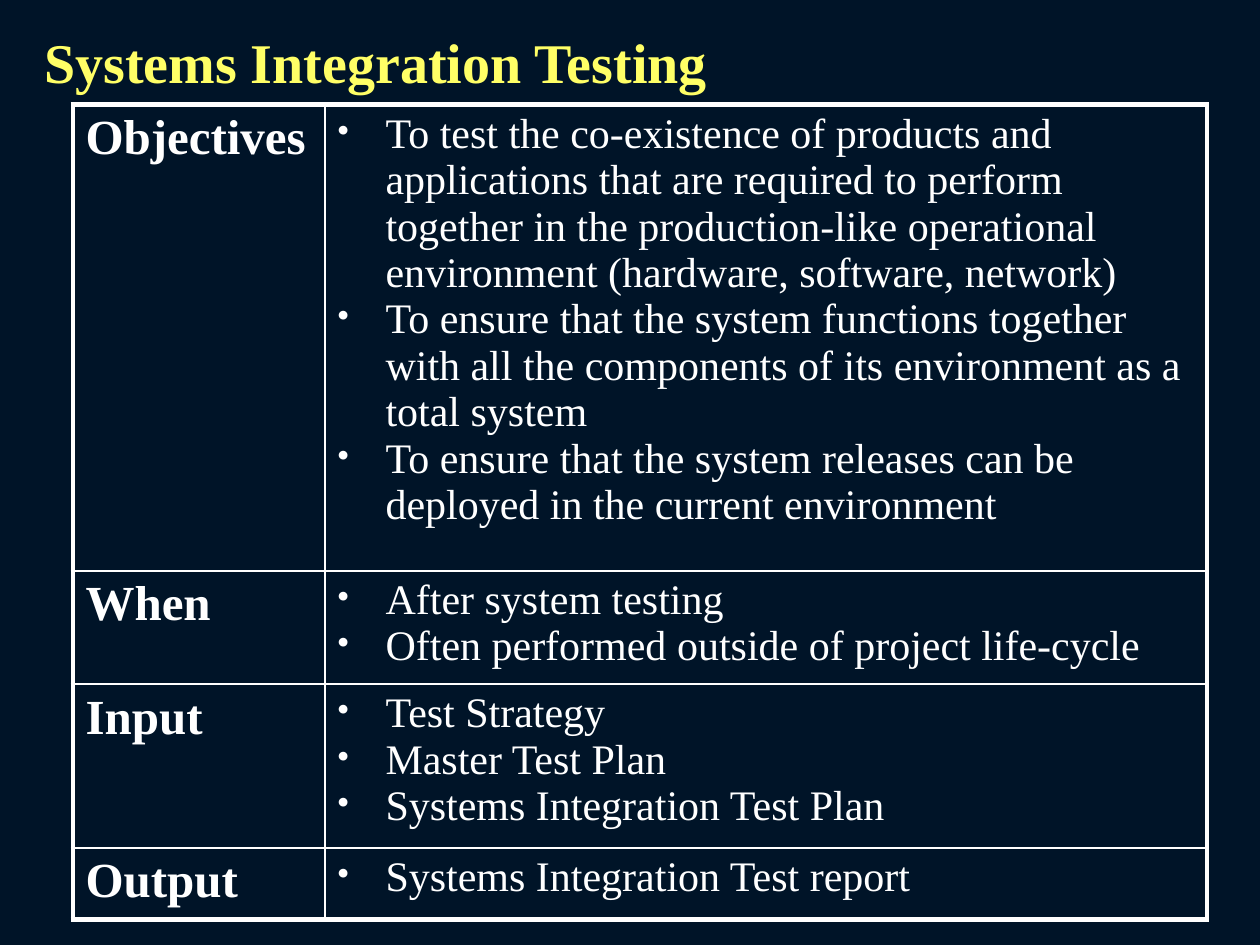
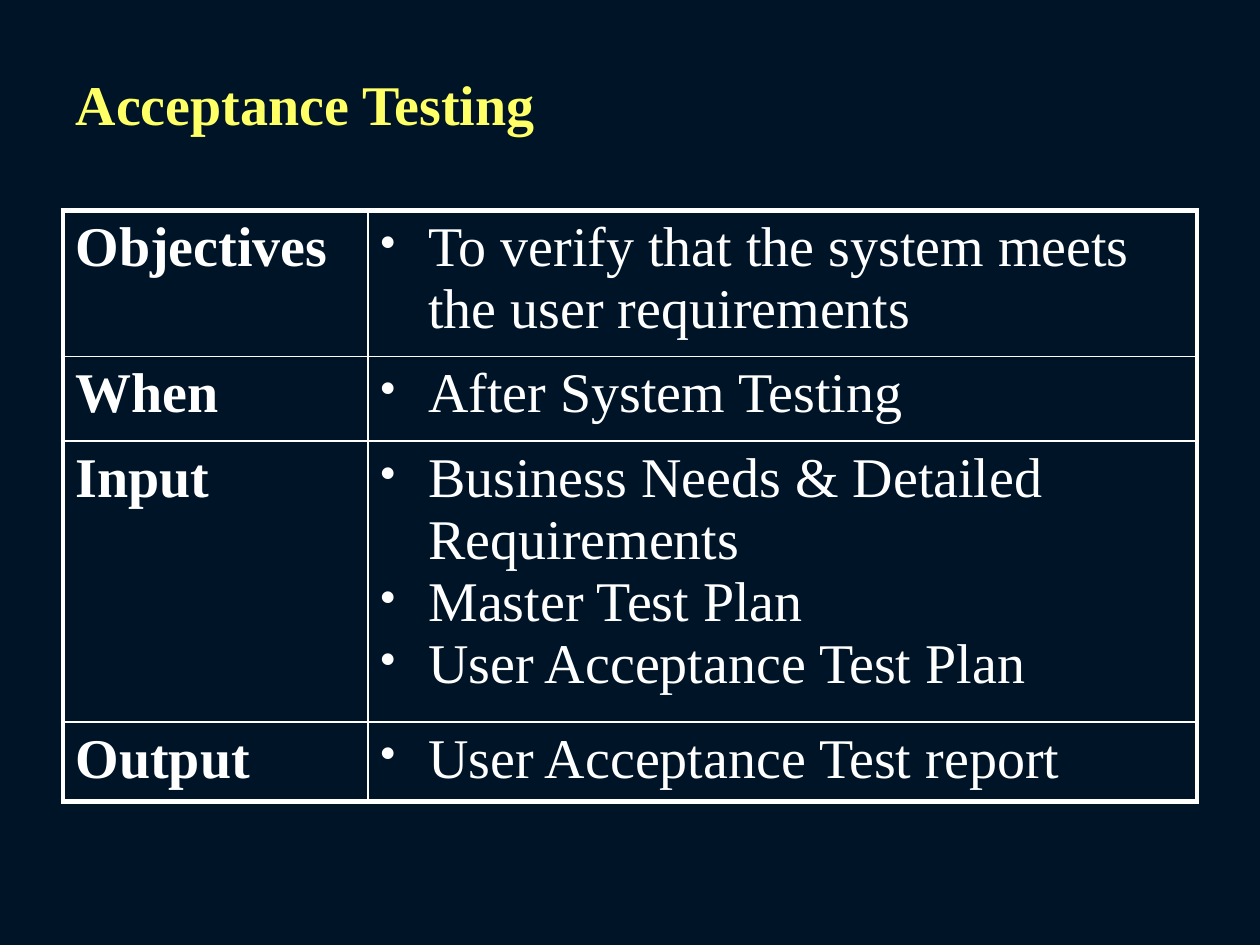
from dataclasses import dataclass

from lxml.etree import SubElement
from pptx import Presentation
from pptx.dml.color import RGBColor
from pptx.enum.text import MSO_ANCHOR, PP_ALIGN
from pptx.oxml.ns import qn
from pptx.util import Inches, Pt


@dataclass(frozen=True)
class Theme:
    font: str = "Times New Roman"
    background: str = "001428"
    title_color: str = "FFFF66"
    text_color: str = "FFFFFF"
    title_size: int = 32
    frame_width: float = 3
    rule_width: float = 1
    bullet_indent: float = 0.38
    bullet_percent: int = 80


THEME = Theme()
SLIDE_WIDTH, SLIDE_HEIGHT = Inches(10), Inches(7.5)
GRID_COLUMNS, GRID_ROWS = 10, 7.5
TITLE_ONLY = 5

PHASES = [
    {
        "title": "Systems Integration Testing",
        "title_box": (0.25, 0.17, 5.92, 0.63),
        "table_corner": (0.58, 0.83),
        "columns": (2, 7),
        "rows": (3.7, 0.9, 1.3, 0.57),
        "label_size": 28,
        "item_size": 24,
        "topics": {
            "Objectives": [
                "To test the co-existence of products and applications that are "
                "required to perform together in the production-like operational "
                "environment (hardware, software, network)",
                "To ensure that the system functions together with all the "
                "components of its environment as a total system",
                "To ensure that the system releases can be deployed in the "
                "current environment",
            ],
            "When": [
                "After system testing",
                "Often performed outside of project life-cycle",
            ],
            "Input": [
                "Test Strategy",
                "Master Test Plan",
                "Systems Integration Test Plan",
            ],
            "Output": ["Systems Integration Test report"],
        },
    },
    {
        "title": "Acceptance Testing",
        "title_box": (0.5, 0.5, 3.89, 0.63),
        "table_corner": (0.5, 1.67),
        "columns": (2.42, 6.58),
        "rows": (1.16, 0.67, 2.23, 0.63),
        "label_size": 32,
        "item_size": 32,
        "topics": {
            "Objectives": ["To verify that the system meets the user requirements"],
            "When": ["After System Testing"],
            "Input": [
                "Business Needs & Detailed Requirements",
                "Master Test Plan",
                "User Acceptance Test Plan",
            ],
            "Output": ["User Acceptance Test report"],
        },
    },
]


def across(columns):
    return round(SLIDE_WIDTH * columns / GRID_COLUMNS)


def down(rows):
    return round(SLIDE_HEIGHT * rows / GRID_ROWS)


def set_values(target, values):
    for name, value in values.items():
        setattr(target, name, value)


def write(paragraph, text, size, color, bold=False):
    run = paragraph.add_run()
    run.text = text
    set_values(run.font, {"name": THEME.font, "size": Pt(size), "bold": bold})
    run.font.color.rgb = RGBColor.from_string(color)


def add_bullet(paragraph):
    properties = paragraph._p.get_or_add_pPr()
    indent = Inches(THEME.bullet_indent)
    properties.set("marL", str(indent))
    properties.set("indent", str(-indent))
    bullet_color = SubElement(properties, qn("a:buClr"))
    SubElement(bullet_color, qn("a:srgbClr"), val=THEME.text_color)
    SubElement(properties, qn("a:buSzPct"), val=str(THEME.bullet_percent * 1000))
    SubElement(properties, qn("a:buChar"), char="•")


def set_borders(cell, outer_sides):
    """Draw a heavy line on the table's outer sides and a thin one elsewhere."""
    properties = cell._tc.get_or_add_tcPr()
    for side in "LRTB":
        width = THEME.frame_width if side in outer_sides else THEME.rule_width
        line = SubElement(properties, qn(f"a:ln{side}"), w=str(Pt(width)))
        fill = SubElement(line, qn("a:solidFill"))
        SubElement(fill, qn("a:srgbClr"), val=THEME.text_color)


def add_title(slide, text, box):
    left, top, width, height = box
    title = slide.shapes.title
    set_values(title, {"left": across(left), "top": down(top),
                       "width": across(width), "height": down(height)})
    frame = title.text_frame
    set_values(frame, {"vertical_anchor": MSO_ANCHOR.MIDDLE, "word_wrap": True})
    heading = frame.paragraphs[0]
    heading.alignment = PP_ALIGN.LEFT
    write(heading, text, THEME.title_size, THEME.title_color, bold=True)


def fill_items(cell, items, size):
    frame = cell.text_frame
    for index, item in enumerate(items):
        paragraph = frame.add_paragraph() if index else frame.paragraphs[0]
        add_bullet(paragraph)
        write(paragraph, item, size, THEME.text_color)


def add_topic_table(slide, phase):
    topics, columns, rows = phase["topics"], phase["columns"], phase["rows"]
    left, top = phase["table_corner"]
    table = slide.shapes.add_table(
        len(rows), len(columns), across(left), down(top),
        across(sum(columns)), down(sum(rows))).table
    set_values(table, {"first_row": False, "horz_banding": False})
    for column, width in zip(table.columns, columns):
        column.width = across(width)

    last_row = len(rows) - 1
    for index, (topic, items) in enumerate(topics.items()):
        table.rows[index].height = down(rows[index])
        label_cell, items_cell = table.rows[index].cells
        ends = ("T" if index == 0 else "") + ("B" if index == last_row else "")
        for cell, edge in ((label_cell, "L"), (items_cell, "R")):
            set_borders(cell, edge + ends)
            cell.fill.background()
        write(label_cell.text_frame.paragraphs[0], topic,
              phase["label_size"], THEME.text_color, bold=True)
        fill_items(items_cell, items, phase["item_size"])


def main():
    deck = Presentation()
    set_values(deck, {"slide_width": SLIDE_WIDTH, "slide_height": SLIDE_HEIGHT})

    # Shared background
    backdrop = deck.slide_master.background.fill
    backdrop.solid()
    backdrop.fore_color.rgb = RGBColor.from_string(THEME.background)

    # One slide for each testing phase
    for phase in PHASES:
        slide = deck.slides.add_slide(deck.slide_layouts[TITLE_ONLY])
        add_title(slide, phase["title"], phase["title_box"])
        add_topic_table(slide, phase)

    deck.save("out.pptx")


if __name__ == "__main__":
    main()
